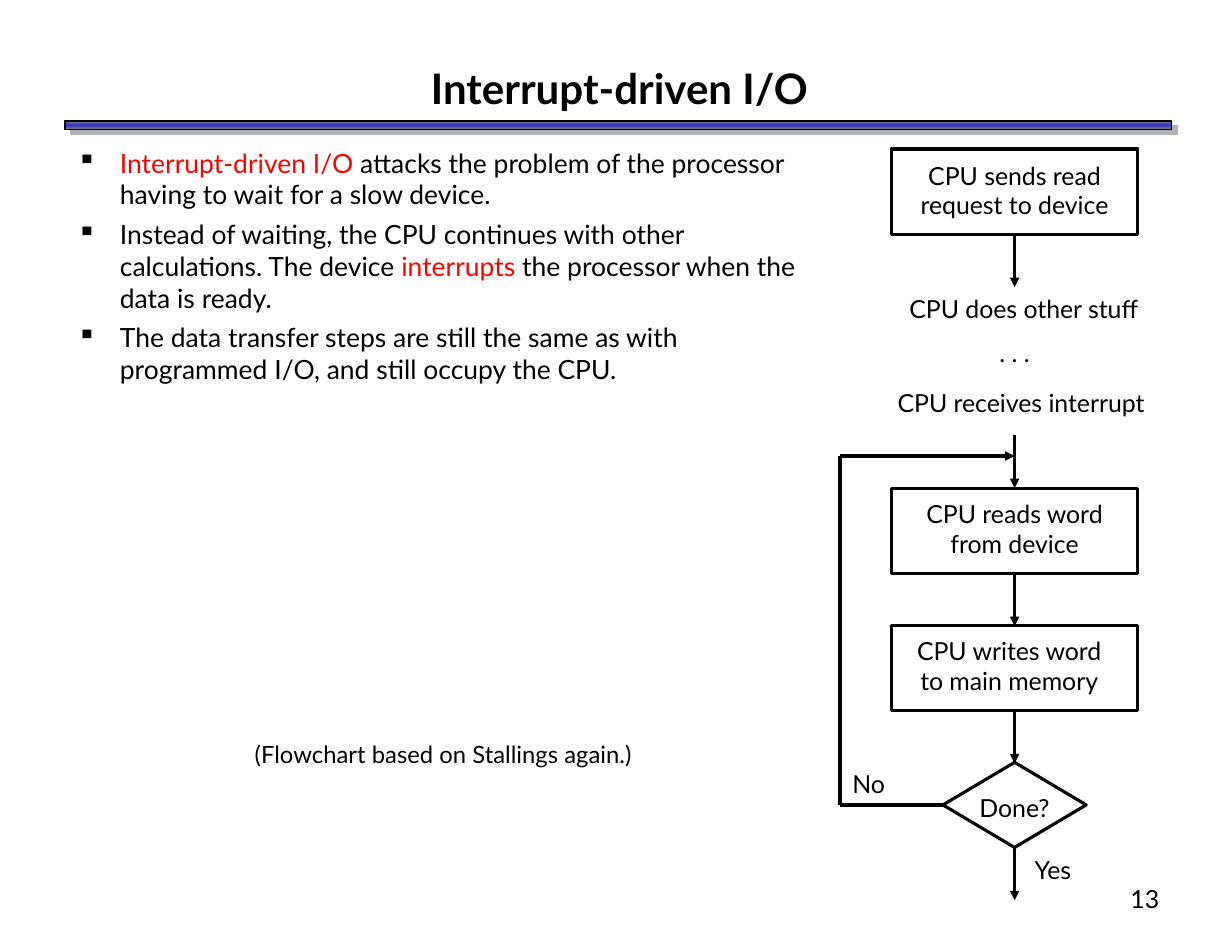
import copy

import lxml.etree
import pptx
import pptx.dml.color
import pptx.enum.shapes
import pptx.enum.text
import pptx.oxml.ns
import pptx.util

Cm = pptx.util.Cm
Pt = pptx.util.Pt
SHAPES = pptx.enum.shapes.MSO_SHAPE
ALIGN = pptx.enum.text.PP_ALIGN
ANCHOR = pptx.enum.text.MSO_ANCHOR
FIT = pptx.enum.text.MSO_AUTO_SIZE

BLACK, RED = "000000", "FF0000"
AXIS = 23.01
NODE_WIDTH, NODE_HEIGHT = 5.59, 1.93
DECISION_WIDTH = 3.25
ARROW_LENGTH = 1.2
SEND_TOP, LOOP_TOP, LOOP_STEP = 3.38, 11.07, 3.11
RETURN_X, RETURN_Y = 19.05, 10.34


def color(value):
    return pptx.dml.color.RGBColor.from_string(value)


def add_xml(parent, tag, **attributes):
    return lxml.etree.SubElement(parent, pptx.oxml.ns.qn(tag), attributes)


def apply(target, values):
    for name, value in values.items():
        setattr(target, name, value)


class SlideWriter:
    def __init__(self, page, font="Lato"):
        self.page = page
        self.font = font

    def text(self, left, top, width, height, paragraphs, size=16, bold=False,
             bullet=False, paragraph_format=None, frame_format=None):
        """Each paragraph is a list of (text, colour) spans."""
        box = self.page.shapes.add_textbox(Cm(left), Cm(top), Cm(width), Cm(height))
        frame = box.text_frame
        apply(frame, {"word_wrap": True, "margin_left": Cm(0.28), "margin_right": Cm(0.28),
                      "margin_top": Cm(0.15), "margin_bottom": Cm(0.15)})
        apply(frame, frame_format or {})
        for index, spans in enumerate(paragraphs):
            para = frame.paragraphs[0] if index == 0 else frame.add_paragraph()
            apply(para, paragraph_format or {})
            if index == 0:
                para.space_before = Pt(0)
            if bullet:
                self.bullet(para)
            for words, hue in spans:
                span = para.add_run()
                span.text = words
                apply(span.font, {"name": self.font, "size": Pt(size), "bold": bold})
                span.font.color.rgb = color(hue)

    def bullet(self, para):
        """Add a hanging black square."""
        properties = para._p.get_or_add_pPr()
        properties.set("marL", str(Cm(0.97)))
        properties.set("indent", str(Cm(-0.97)))
        add_xml(add_xml(properties, "a:buClr"), "a:srgbClr", val=BLACK)
        add_xml(properties, "a:buChar", char="▪")

    def label(self, center_x, center_y, width, *lines):
        height = 0.97 if len(lines) == 1 else 1.65
        self.text(center_x - width / 2, center_y - height / 2, width, height,
                  [[(line, BLACK)] for line in lines],
                  paragraph_format={"alignment": ALIGN.CENTER},
                  frame_format={"word_wrap": False, "vertical_anchor": ANCHOR.MIDDLE,
                                "auto_size": FIT.SHAPE_TO_FIT_TEXT})

    def node(self, kind, top, width=NODE_WIDTH):
        """Outline a flowchart step centred on the axis."""
        shape = self.page.shapes.add_shape(
            kind, Cm(AXIS - width / 2), Cm(top), Cm(width), Cm(NODE_HEIGHT))
        shape.shadow.inherit = False
        shape.fill.background()
        shape.line.color.rgb = color(BLACK)
        shape.line.width = Pt(2)

    def line(self, x1, y1, x2, y2, arrow=False):
        connector = self.page.shapes.add_connector(
            pptx.enum.shapes.MSO_CONNECTOR.STRAIGHT, Cm(x1), Cm(y1), Cm(x2), Cm(y2))
        connector.line.color.rgb = color(BLACK)
        connector.line.width = Pt(2)
        if arrow:
            add_xml(connector.line._get_or_add_ln(), "a:tailEnd", type="triangle")
        add_xml(connector._element.spPr, "a:effectLst")

    def down_arrow(self, top):
        self.line(AXIS, top, AXIS, top + ARROW_LENGTH, arrow=True)

    def title_bar(self, left, top, width, height):
        bar = self.page.shapes.add_shape(
            SHAPES.RECTANGLE, Cm(left), Cm(top), Cm(width), Cm(height))
        bar.fill.gradient()
        bar.fill.gradient_angle = 90
        stops = bar._element.spPr.find(".//" + pptx.oxml.ns.qn("a:gsLst"))
        stops.append(copy.deepcopy(stops[0]))
        for stop, position, hue in zip(bar.fill.gradient_stops, (0, 0.5, 1),
                                       ("808080", "3333CC", "808080")):
            stop.position = position
            stop.color.rgb = color(hue)
        bar.line.color.rgb = color(BLACK)
        bar.line.width = Pt(1)
        effects = add_xml(bar._element.spPr, "a:effectLst")
        shadow = add_xml(effects, "a:outerShdw", blurRad="0", dist=str(Pt(5)),
                         dir=str(37 * 60000), algn="ctr", rotWithShape="0")
        add_xml(shadow, "a:srgbClr", val="B2B2B2")


def draw_text(writer):
    writer.title_bar(1.47, 2.74, 25.1, 0.2)
    writer.text(20.75, 19.89, 5.82, 1.45, [[("13", BLACK)]],
                paragraph_format={"alignment": ALIGN.RIGHT})
    writer.text(1.47, 1.27, 25.15, 1.45, [[("Interrupt-driven I/O", BLACK)]],
                size=27, bold=True, paragraph_format={"alignment": ALIGN.CENTER},
                frame_format={"vertical_anchor": ANCHOR.MIDDLE})
    writer.text(1.47, 3.18, 17.17, 6, [
        [("Interrupt-driven I/O", RED),
         (" attacks the problem of the processor having to wait for a slow device.", BLACK)],
        [("Instead of waiting, the CPU continues with other calculations. The device ", BLACK),
         ("interrupts", RED), (" the processor when the data is ready.", BLACK)],
        [("The data transfer steps are still the same as with programmed I/O, "
          "and still occupy the CPU.", BLACK)],
    ], size=17, bullet=True, paragraph_format={"space_before": Pt(5)})
    writer.text(1.47, 16.62, 17.17, 0.95, [[("(Flowchart based on Stallings again.)", BLACK)]],
                size=15.3, paragraph_format={"alignment": ALIGN.CENTER})


def draw_flowchart(writer):
    read_top, write_top, done_top = (LOOP_TOP + LOOP_STEP * step for step in range(3))
    for top in (SEND_TOP, read_top, write_top):
        writer.node(SHAPES.FLOWCHART_PROCESS, top)
    writer.node(SHAPES.FLOWCHART_DECISION, done_top, DECISION_WIDTH)
    for top in (SEND_TOP, read_top, write_top, done_top):
        writer.down_arrow(top + NODE_HEIGHT)
    writer.down_arrow(LOOP_TOP - ARROW_LENGTH)

    done_middle = done_top + NODE_HEIGHT / 2
    writer.line(AXIS - DECISION_WIDTH / 2, done_middle, RETURN_X, done_middle)
    writer.line(RETURN_X, RETURN_Y, RETURN_X, done_middle)
    writer.line(RETURN_X, RETURN_Y, AXIS, RETURN_Y, arrow=True)

    for label in (
        (AXIS, 4.31, 5.13, "CPU sends read", "request to device"),
        (23.22, 6.99, 6.05, "CPU does other stuff"),
        (AXIS, 8, 1.32, ". . ."),
        (23.16, 9.14, 6.5, "CPU receives interrupt"),
        (AXIS, 11.98, 4.8, "CPU reads word", "from device"),
        (22.89, 15.1, 4.98, "CPU writes word", "to main memory"),
        (AXIS, 18.31, 2.24, "Done?"),
        (19.7, 17.78, 1.35, "No"),
        (23.88, 19.71, 1.47, "Yes"),
    ):
        writer.label(*label)


def main():
    deck = pptx.Presentation()
    deck.slide_width, deck.slide_height = Cm(27.94), Cm(21.59)
    writer = SlideWriter(deck.slides.add_slide(deck.slide_layouts[6]))
    draw_text(writer)
    draw_flowchart(writer)
    deck.save("out.pptx")


if __name__ == "__main__":
    main()
